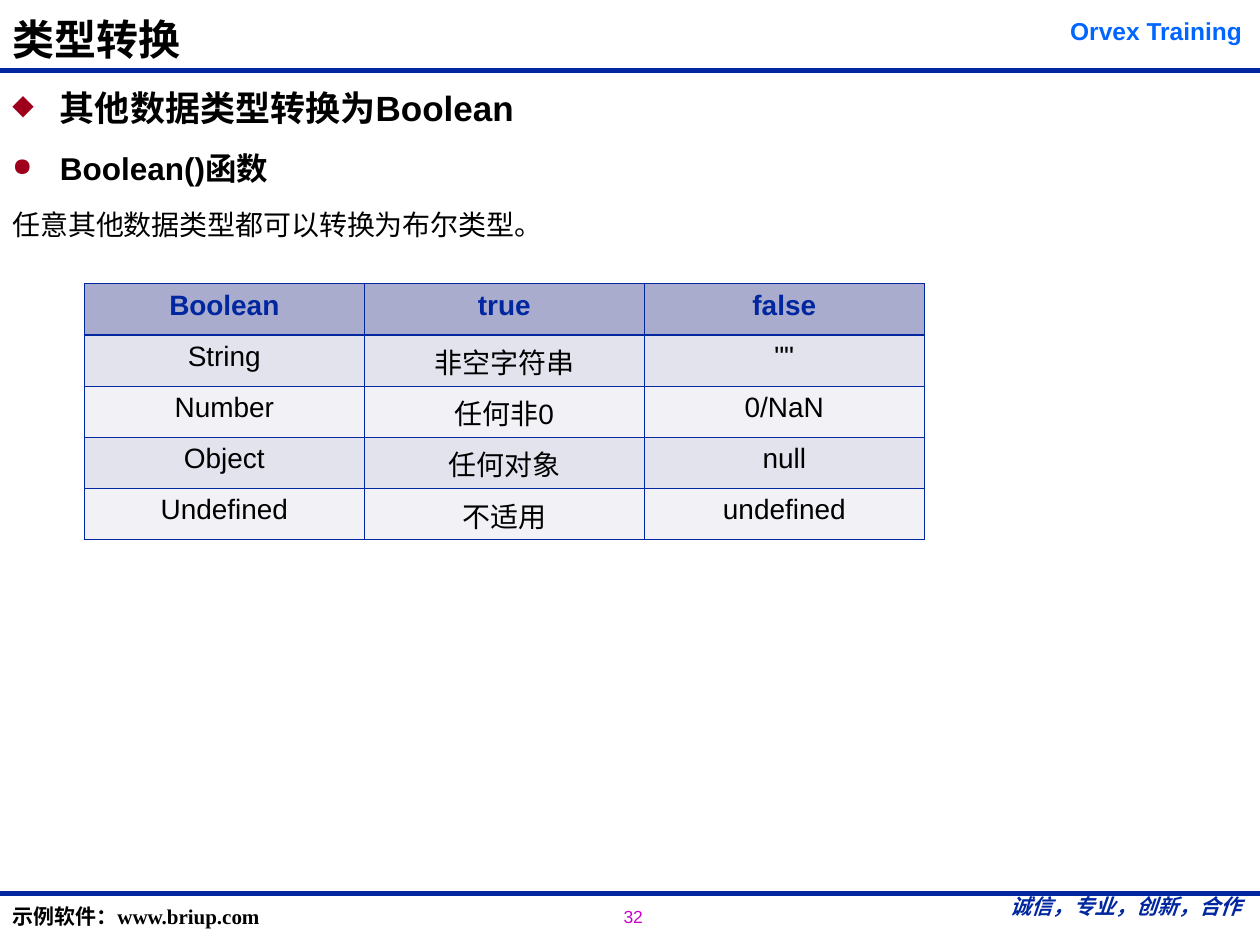
from dataclasses import dataclass

from lxml import etree
from pptx import Presentation
from pptx.dml.color import RGBColor
from pptx.enum.shapes import MSO_CONNECTOR
from pptx.enum.text import MSO_ANCHOR, PP_ALIGN
from pptx.oxml.ns import qn
from pptx.util import Pt

LEFT, CENTER = PP_ALIGN.LEFT, PP_ALIGN.CENTER
BOTTOM = MSO_ANCHOR.BOTTOM
STRAIGHT = MSO_CONNECTOR.STRAIGHT

COLORS = {
    "navy": "00279F", "blue": "0066FF", "magenta": "CC00CC", "black": "000000",
    "red": "9E001B", "header": "AAACCD", "odd": "E2E3ED", "even": "F1F1F6",
}
CJK_FONT = "Noto Sans CJK SC"
INSETS = {"margin_left": Pt(7.2), "margin_right": Pt(7.2),
          "margin_top": Pt(3.6), "margin_bottom": Pt(3.6)}
SLIDE_WIDTH, SLIDE_HEIGHT = 720, 540
RULE_TOPS = (40.5, 510.5)
BODY_INDENT = 27.2
THIN, THICK = 0.45, 1.47


@dataclass
class Style:
    size: float
    color: str = "black"
    font: str = "Arial"
    bold: bool = False
    italic: bool = False


@dataclass
class Label:
    text: str
    left: float
    top: float
    width: float
    height: float
    style: Style
    align: int = LEFT


@dataclass
class BodyLine:
    text: str
    style: Style
    bullet: str = ""


LABELS = [
    Label("32", 349.2, 514, 60, 19, Style(10, "magenta")),
    Label("诚信，专业，创新，合作", 566.5, 507, 154, 28,
          Style(12, "navy", "Times New Roman", True, True), CENTER),
    Label("Orvex Training", 603.4, 5.8, 114.5, 24, Style(14, "blue", bold=True), CENTER),
    Label("示例软件：www.briup.com", 0, 512.6, 317.5, 21.6,
          Style(12, font="Times New Roman", bold=True)),
]
BODY_LINES = [
    BodyLine("其他数据类型转换为Boolean", Style(20, bold=True), "◆"),
    BodyLine("Boolean()函数", Style(18, bold=True), "●"),
    BodyLine("任意其他数据类型都可以转换为布尔类型。", Style(16)),
]
CONVERSIONS = [
    ("Boolean", "true", "false"),
    ("String", "非空字符串", '""'),
    ("Number", "任何非0", "0/NaN"),
    ("Object", "任何对象", "null"),
    ("Undefined", "不适用", "undefined"),
]


def set_all(target, values: dict) -> None:
    for name, value in values.items():
        setattr(target, name, value)


def rgb(color: str) -> RGBColor:
    return RGBColor.from_string(COLORS[color])


def write(paragraph, text: str, style: Style) -> None:
    run = paragraph.add_run()
    run.text = text
    set_all(run.font, {"size": Pt(style.size), "name": style.font,
                       "bold": style.bold, "italic": style.italic})
    run.font.color.rgb = rgb(style.color)
    latin = run.font._element.find(qn("a:latin"))
    east_asian = etree.Element(qn("a:ea"), typeface=CJK_FONT)
    latin.addnext(east_asian)


def add_box(slide, left: float, top: float, width: float, height: float):
    frame = slide.shapes.add_textbox(Pt(left), Pt(top), Pt(width), Pt(height)).text_frame
    set_all(frame, {"word_wrap": True, **INSETS})
    return frame


def add_label(slide, label: Label) -> None:
    frame = add_box(slide, label.left, label.top, label.width, label.height)
    frame.paragraphs[0].alignment = label.align
    write(frame.paragraphs[0], label.text, label.style)


def add_rule(slide, top: float) -> None:
    rule = slide.shapes.add_connector(STRAIGHT, Pt(0), Pt(top), Pt(SLIDE_WIDTH), Pt(top))
    set_all(rule.line, {"width": Pt(2.75)})
    rule.line.color.rgb = rgb("navy")
    etree.SubElement(rule._element.spPr, qn("a:effectLst"))


def add_title(slide, text: str) -> None:
    title = slide.shapes.title
    set_all(title, {"left": Pt(0), "top": Pt(0), "width": Pt(600.5), "height": Pt(40.3)})
    set_all(title.text_frame, {"vertical_anchor": BOTTOM, "word_wrap": True, **INSETS})
    heading = title.text_frame.paragraphs[0]
    set_all(heading, {"alignment": LEFT, "line_spacing": 0.87})
    write(heading, text, Style(24, font=CJK_FONT, bold=True))


def format_indent(paragraph, bullet: str) -> None:
    properties = paragraph._p.get_or_add_pPr()
    properties.set("marL", str(Pt(BODY_INDENT)))
    properties.set("indent", str(-Pt(BODY_INDENT)))
    if bullet:
        bullet_color = etree.SubElement(properties, qn("a:buClr"))
        etree.SubElement(bullet_color, qn("a:srgbClr"), val=COLORS["red"])
        etree.SubElement(properties, qn("a:buSzPct"), val="80000")
        etree.SubElement(properties, qn("a:buChar"), char=bullet)
    else:
        etree.SubElement(properties, qn("a:buNone"))


def add_body(slide, lines: list[BodyLine]) -> None:
    frame = add_box(slide, 0, 46, SLIDE_WIDTH, 458.6)
    for index, line in enumerate(lines):
        paragraph = frame.add_paragraph() if index else frame.paragraphs[0]
        format_indent(paragraph, line.bullet)
        set_all(paragraph, {"space_before": Pt(5.9 if index else 0), "space_after": Pt(5.9)})
        write(paragraph, line.text, line.style)


def add_borders(cell, top: float, bottom: float) -> None:
    properties = cell._tc.get_or_add_tcPr()
    for side, width in {"L": THIN, "R": THIN, "T": top, "B": bottom}.items():
        border = etree.SubElement(properties, qn(f"a:ln{side}"), w=str(Pt(width)))
        fill = etree.SubElement(border, qn("a:solidFill"))
        etree.SubElement(fill, qn("a:srgbClr"), val=COLORS["navy"])


def add_conversion_table(slide, rows: list[tuple]) -> None:
    table = slide.shapes.add_table(len(rows), len(rows[0]), Pt(48.2), Pt(162),
                                   Pt(480), Pt(29.3 * len(rows))).table
    for row, values in enumerate(rows):
        is_header = row == 0
        style = Style(16, "navy", bold=True) if is_header else Style(16)
        fill = "header" if is_header else ("odd" if row % 2 else "even")
        for column, value in enumerate(values):
            cell = table.cell(row, column)
            add_borders(cell, THICK if row == 1 else THIN, THICK if is_header else THIN)
            cell.fill.solid()
            cell.fill.fore_color.rgb = rgb(fill)
            set_all(cell, INSETS)
            paragraph = cell.text_frame.paragraphs[0]
            paragraph.alignment = CENTER
            write(paragraph, value, style)


def main() -> None:
    deck = Presentation()
    set_all(deck, {"slide_width": Pt(SLIDE_WIDTH), "slide_height": Pt(SLIDE_HEIGHT)})
    slide = deck.slides.add_slide(deck.slide_layouts[5])
    for top in RULE_TOPS:
        add_rule(slide, top)
    for label in LABELS:
        add_label(slide, label)
    add_title(slide, "类型转换")
    add_body(slide, BODY_LINES)
    add_conversion_table(slide, CONVERSIONS)
    deck.save("out.pptx")


if __name__ == "__main__":
    main()
